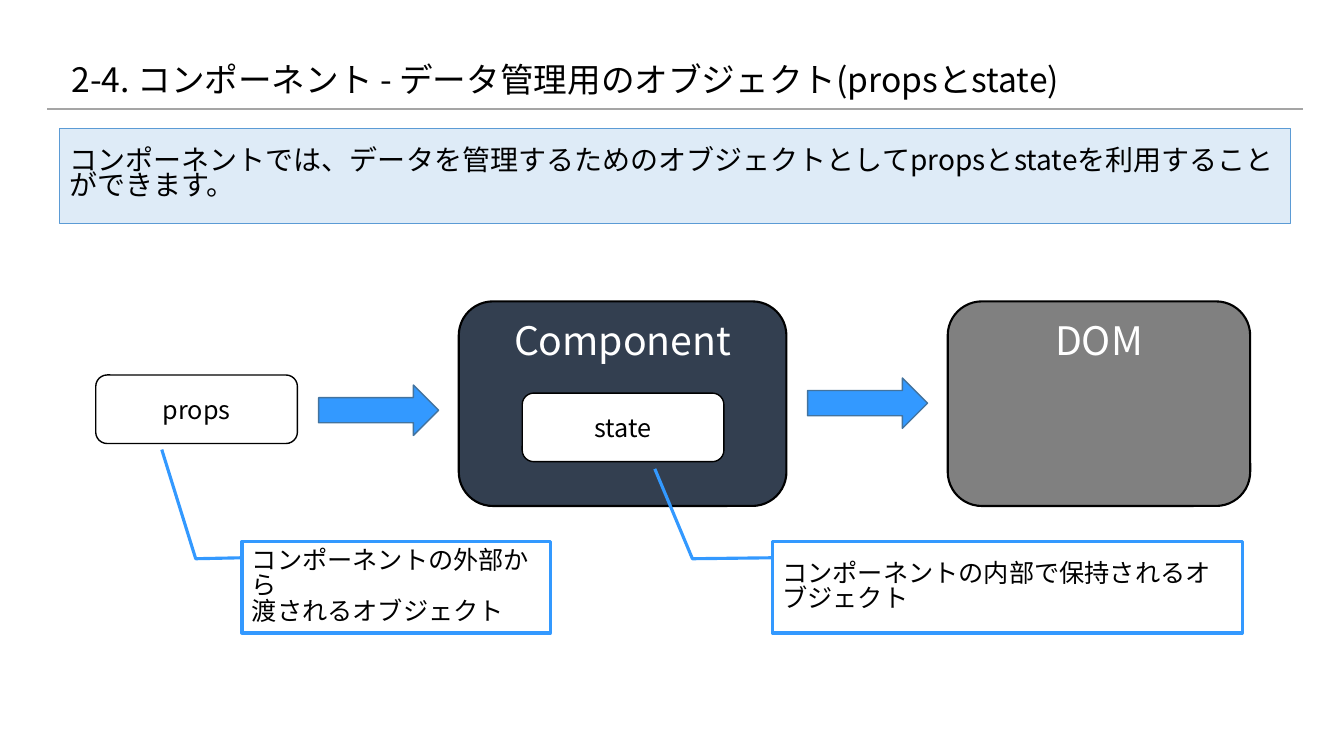
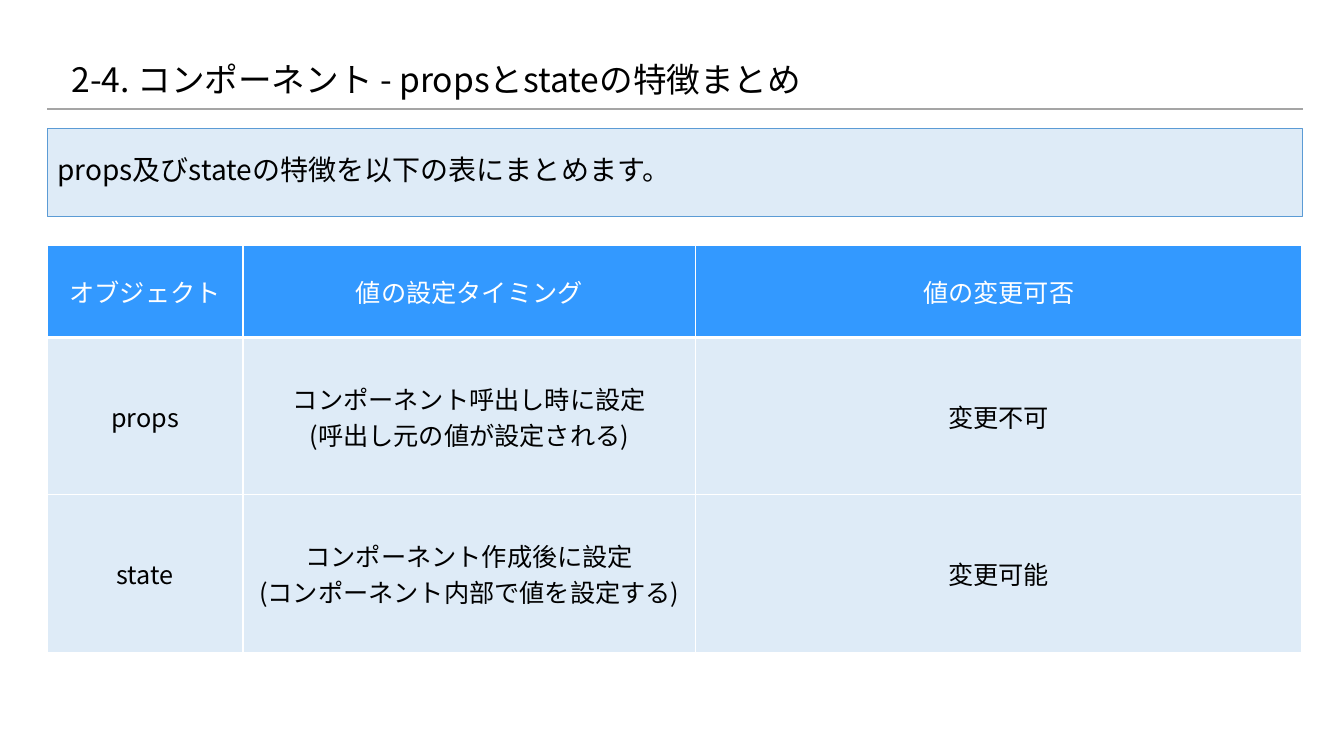
from lxml.etree import SubElement
from pptx import Presentation
from pptx.dml.color import RGBColor
from pptx.enum.shapes import MSO_CONNECTOR, MSO_SHAPE
from pptx.enum.text import MSO_ANCHOR, PP_ALIGN
from pptx.oxml.ns import qn
from pptx.util import Emu, Pt

FONT = "Noto Sans CJK JP"
BLACK, WHITE = "000000", "FFFFFF"
BLUE, PALE_BLUE, BAND_LINE, ARROW_LINE = "3399FF", "DEEBF7", "5B9BD5", "43739E"
NAVY, GRAY, RULE_GRAY = "333F50", "808080", "A5A5A5"
LEFT, RIGHT = 47, 1292


def px(value):
    return Emu(value * 9144)


def area(*lengths):
    return [px(length) for length in lengths]


def color(hex_text):
    return RGBColor.from_string(hex_text)


def paint(target, fill):
    target.fill.solid()
    target.fill.fore_color.rgb = color(fill)


def outline(line, hex_text, width):
    line.color.rgb = color(hex_text)
    line.width = Pt(width)


def write(frame, lines, size, ink=BLACK, align=PP_ALIGN.CENTER, spacing=None, before=None):
    frame.word_wrap = True
    for index, text in enumerate(lines):
        para = frame.add_paragraph() if index else frame.paragraphs[0]
        para.alignment = align
        para.line_spacing = spacing
        if before is not None:
            para.space_before = Pt(before)
        span = para.add_run()
        span.text = text
        span.font.size = Pt(size)
        span.font.color.rgb = color(ink)
        span.font.name = FONT
        SubElement(span.font._element, qn("a:ea"), typeface=FONT)


def add_box(page, preset, place, fill, line, width, anchor=MSO_ANCHOR.MIDDLE):
    box = page.shapes.add_shape(preset, *area(*place))
    box.shadow.inherit = False
    paint(box, fill)
    outline(box.line, line, width)
    box.text_frame.vertical_anchor = anchor
    return box


def add_band(page, place, text):
    box = add_box(page, MSO_SHAPE.RECTANGLE, place, PALE_BLUE, BAND_LINE, 0.75)
    write(box.text_frame, [text], 20, align=PP_ALIGN.LEFT, spacing=0.74, before=10)


def add_object(page, left, top, text):
    box = add_box(page, MSO_SHAPE.ROUNDED_RECTANGLE, (left, top, 200, 68), WHITE, BLACK, 1)
    write(box.text_frame, [text], 18)


def add_stage(page, left, width, fill, text):
    box = add_box(page, MSO_SHAPE.ROUNDED_RECTANGLE, (left, 299, width, 203),
                  fill, BLACK, 1.5, MSO_ANCHOR.TOP)
    write(box.text_frame, [text], 28, WHITE)


def add_arrow(page, left, top):
    add_box(page, MSO_SHAPE.RIGHT_ARROW, (left, top, 119, 50), BLUE, ARROW_LINE, 1)


def add_callout(page, left, width, bend, tip, lines):
    box = add_box(page, MSO_SHAPE.LINE_CALLOUT_2, (left, 537, width, 91), WHITE, BLUE, 2.25)
    for index, value in enumerate((0.18, 0, 0.19, bend, *tip)):
        box.adjustments[index] = value
    write(box.text_frame, lines, 18, align=PP_ALIGN.LEFT, spacing=0.84)


def add_borders(cell, bottom):
    properties = cell._tc.get_or_add_tcPr()
    for index, (side, width) in enumerate((("lnL", 1), ("lnR", 1), ("lnT", 1), ("lnB", bottom))):
        line = properties.makeelement(qn(f"a:{side}"), {"w": str(Pt(width))})
        properties.insert(index, line)
        fill = SubElement(line, qn("a:solidFill"))
        SubElement(fill, qn("a:srgbClr"), val=WHITE)


def add_grid(page, left, top, widths, heights, rows):
    frame = page.shapes.add_table(len(rows), len(widths),
                                  *area(left, top, sum(widths), sum(heights)))
    grid = frame.table
    for column, width in zip(grid.columns, widths):
        column.width = px(width)
    for row_index, (row, height) in enumerate(zip(rows, heights)):
        grid.rows[row_index].height = px(height)
        header = row_index == 0
        for column_index, lines in enumerate(row):
            cell = grid.cell(row_index, column_index)
            cell.vertical_anchor = MSO_ANCHOR.MIDDLE
            paint(cell, BLUE if header else PALE_BLUE)
            add_borders(cell, 3 if header else 1)
            write(cell.text_frame, lines, 18, WHITE if header else BLACK)


def prepare_layout(deck, page):
    layout = page.slide_layout
    title = layout.placeholders[0]
    title.left, title.top, title.width, title.height = area(61, 31, 1070, 100)
    rule = page.shapes.add_connector(MSO_CONNECTOR.STRAIGHT, *area(LEFT, 108, RIGHT, 108))
    outline(rule.line, RULE_GRAY, 1.5)
    SubElement(rule.element.spPr, qn("a:effectLst"))
    layout.shapes.element.append(rule.element)


def add_page(deck, title):
    page = deck.slides.add_slide(deck.slide_layouts[5])
    frame = page.shapes.title.text_frame
    frame.vertical_anchor = MSO_ANCHOR.MIDDLE
    write(frame, [title], 24, align=PP_ALIGN.LEFT, spacing=0.9)
    return page


def build_flow(page):
    add_object(page, 95, 372, "props")
    add_arrow(page, 316, 382)
    add_stage(page, 455, 325, NAVY, "Component")
    add_object(page, 518, 390, "state")
    add_stage(page, 940, 300, GRAY, "DOM")
    add_band(page, (59, 127, 1221, 95),
             "コンポーネントでは、データを管理するためのオブジェクトとしてpropsとstateを利用することができます。")
    add_arrow(page, 801, 375)
    add_callout(page, 766, 466, -0.17, (-0.79, -0.25),
                ["コンポーネントの内部で保持されるオブジェクト"])
    add_callout(page, 240, 306, -0.15, (-1, -0.26),
                ["コンポーネントの外部から", "渡されるオブジェクト"])


def build_summary(page):
    add_band(page, (LEFT, 128, RIGHT - LEFT, 87), "props及びstateの特徴を以下の表にまとめます。")
    add_grid(page, LEFT, 243, (194, 449, 601), (92, 156, 156), [
        [["オブジェクト"], ["値の設定タイミング"], ["値の変更可否"]],
        [["props"], ["コンポーネント呼出し時に設定", "(呼出し元の値が設定される)"], ["変更不可"]],
        [["state"], ["コンポーネント作成後に設定", "(コンポーネント内部で値を設定する)"], ["変更可能"]],
    ])


def main():
    deck = Presentation()
    deck.slide_width, deck.slide_height = area(1333, 750)
    flow = add_page(deck, "2-4. コンポーネント - データ管理用のオブジェクト(propsとstate)")
    prepare_layout(deck, flow)
    build_flow(flow)
    build_summary(add_page(deck, "2-4. コンポーネント - propsとstateの特徴まとめ"))
    deck.save("out.pptx")


if __name__ == "__main__":
    main()
